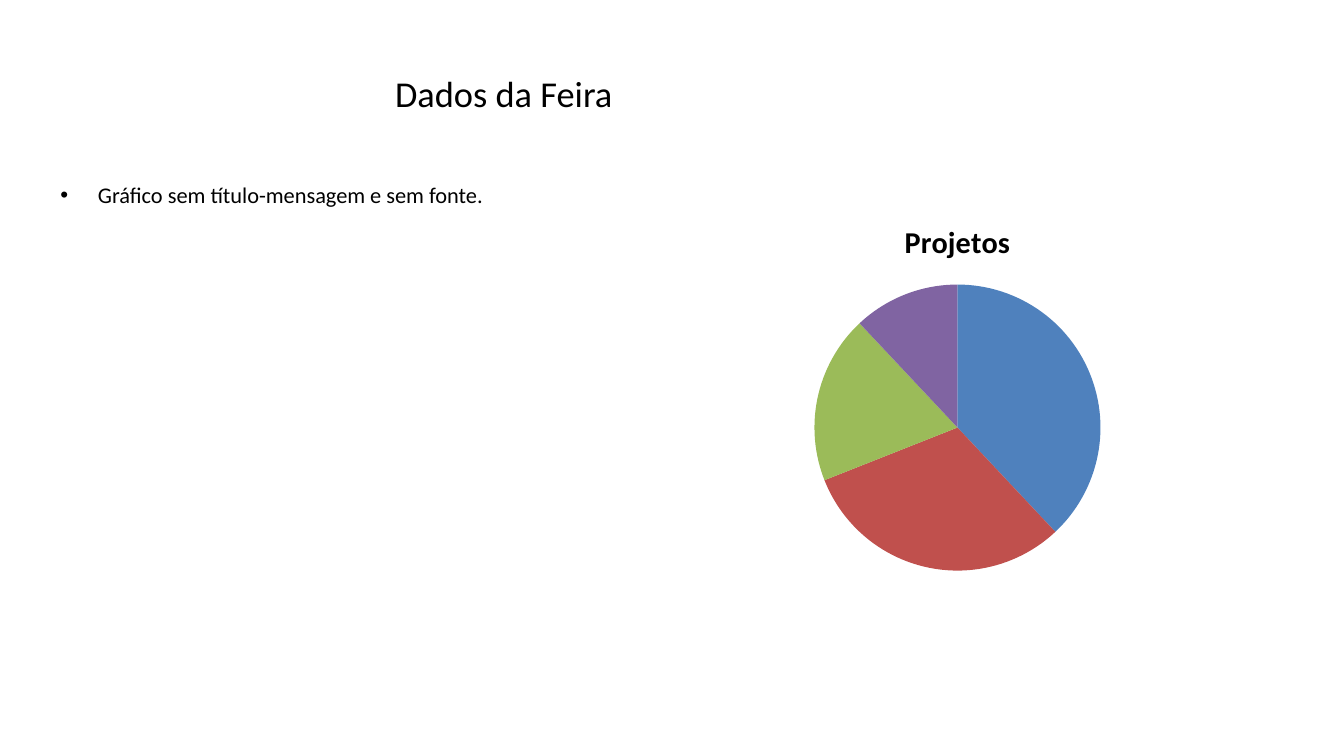
from lxml import etree
from pptx import Presentation
from pptx.chart.data import CategoryChartData
from pptx.dml.color import RGBColor
from pptx.enum.chart import XL_CHART_TYPE
from pptx.enum.text import MSO_ANCHOR, PP_ALIGN
from pptx.oxml.ns import qn
from pptx.util import Cm, Pt

PIE = XL_CHART_TYPE.PIE
MIDDLE, TOP = MSO_ANCHOR.MIDDLE, MSO_ANCHOR.TOP
CENTER, LEFT = PP_ALIGN.CENTER, PP_ALIGN.LEFT

TITLE = "Dados da Feira"
NOTE = "Gráfico sem título-mensagem e sem fonte."
SERIES = "Projetos"
SHARES = {"1": 38, "2": 31, "3": 19, "4": 12}
COLORS = {"text": "000000", "1": "4F81BD", "2": "C0504D", "3": "9BBB59", "4": "8064A2"}
FONTS = {
    "title": {"name": "Calibri", "size": Pt(26), "bold": False},
    "note": {"name": "Calibri", "size": Pt(16), "bold": False},
    "chart": {"name": "Arial", "size": Pt(10), "bold": False},
    "head": {"name": "Calibri", "size": Pt(21.6), "bold": True},
}
BOXES = {
    "title": (1.27, 0.76, 22.86, 3.18),
    "note": (1.27, 4.45, 22.86, 12.57),
    "chart": (18.29, 5.08, 11.68, 9.65),
}
INDENT = Cm(0.95)


def rgb(key):
    return RGBColor.from_string(COLORS[key])


def box(key):
    return [Cm(n) for n in BOXES[key]]


def style(font, key):
    for name, value in FONTS[key].items():
        setattr(font, name, value)
    font.color.rgb = rgb("text")


def write(shape, text, key, align, anchor):
    frame = shape.text_frame
    frame.word_wrap = True
    frame.vertical_anchor = anchor
    para = frame.paragraphs[0]
    para.alignment = align
    run = para.add_run()
    run.text = text
    style(run.font, key)
    return para


def bullet(para):
    props = para._p.get_or_add_pPr()
    props.set("marL", str(INDENT))
    props.set("indent", str(-INDENT))
    tint = etree.SubElement(props, qn("a:buClr"))
    etree.SubElement(tint, qn("a:srgbClr"), val=COLORS["text"])
    etree.SubElement(props, qn("a:buFont"), typeface="Arial")
    etree.SubElement(props, qn("a:buChar"), char="•")


def add_pie(slide):
    data = CategoryChartData()
    data.categories = list(SHARES)
    data.add_series(SERIES, list(SHARES.values()))
    chart = slide.shapes.add_chart(PIE, *box("chart"), data).chart
    style(chart.font, "chart")
    chart.has_legend = False
    chart.has_title = True
    run = chart.chart_title.text_frame.paragraphs[0].add_run()
    run.text = SERIES
    style(run.font, "head")
    plot = chart.plots[0]
    plot.vary_by_categories = True
    for i, key in enumerate(SHARES):
        fill = plot.series[0].points[i].format.fill
        fill.solid()
        fill.fore_color.rgb = rgb(key)


def main():
    deck = Presentation()
    deck.slide_width, deck.slide_height = Cm(33.87), Cm(19.05)
    slide = deck.slides.add_slide(deck.slide_layouts[5])
    title = slide.shapes.title
    title.left, title.top, title.width, title.height = box("title")
    write(title, TITLE, "title", CENTER, MIDDLE)
    note = slide.shapes.add_textbox(*box("note"))
    bullet(write(note, NOTE, "note", LEFT, TOP))
    add_pie(slide)
    deck.save("out.pptx")


if __name__ == "__main__":
    main()
